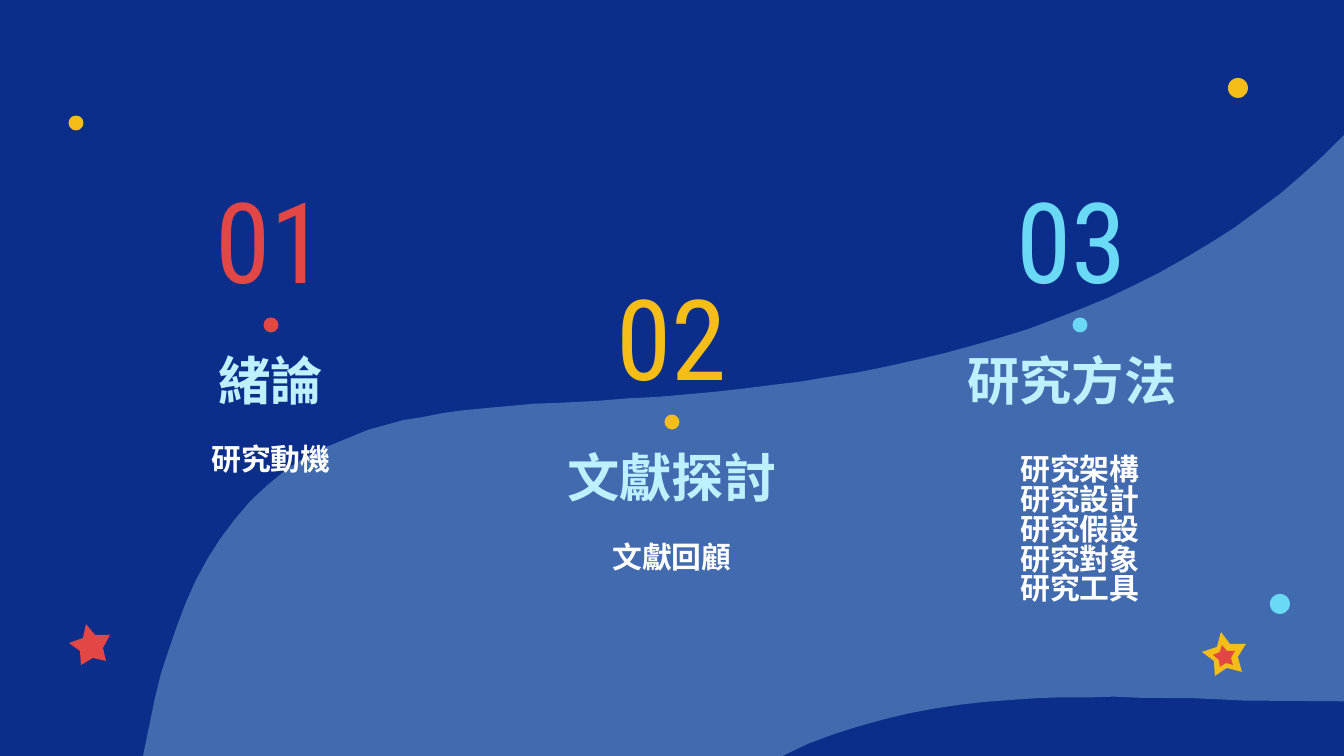
from math import cos, radians, sin

from lxml.etree import SubElement
from pptx import Presentation
from pptx.dml.color import RGBColor
from pptx.enum.shapes import MSO_SHAPE
from pptx.enum.text import MSO_ANCHOR, PP_ALIGN
from pptx.oxml.ns import qn
from pptx.util import Emu, Pt

SCALE = 914400 / 134.4
CJK = "Noto Sans CJK SC"
LATIN = "Roboto Condensed"
NAVY, ICE, WHITE = "0C2E8B", "BDF1FF", "FFFFFF"
RED, GOLD, CYAN = "E24645", "F4BD18", "6AD9F5"

# Each row is one step: a single point for a line, three points for a curve.
WAVE = [
    (1543, -99),
    (1556, -97, 1571, -93, 1583, -87),
    (1656, -55, 1718, -1, 1757, 67),
    (1789, 124, 1809, 190, 1861, 227),
    (1878, 238, 1896, 247, 1907, 263),
    (1918, 280, 1915, 306, 1896, 312),
    (1898, 281),
    (1884, 433, 1788, 574, 1652, 641),
    (1528, 703, 1383, 704, 1245, 700),
    (1106, 696, 965, 688, 833, 734),
    (703, 780, 586, 894, 583, 1032),
    (583, 1079, 597, 1128, 589, 1175),
    (586, 1183, 585, 1191, 579, 1198),
    (569, 1211, 554, 1214, 536, 1211),
    (524, 1210, 512, 1207, 501, 1202),
    (376, 1153, 253, 1101, 132, 1046),
    (121, 1040, 109, 1035, 105, 1024),
    (101, 1016, 102, 1007, 103, 999),
    (132, 820),
    (152, 691, 180, 547, 286, 470),
    (367, 413, 473, 407, 571, 402),
    (726, 394, 880, 378, 1027, 329),
    (1173, 280, 1310, 194, 1399, 67),
    (1426, 30, 1449, -12, 1470, -52),
    (1477, -67, 1485, -81, 1499, -90),
    (1512, -99, 1527, -101, 1543, -99),
]
WAVE_MID = (1021, 554)
WAVE_TURN = 7

# Tips and inner corners of a tilted star on a grid of 33 by 33.
STAR = [(14, 0), (11, 11), (0, 15), (9, 22), (10, 33),
        (19, 27), (30, 30), (27, 19), (33, 9), (21, 9)]

TOPICS = [
    # number, heading, lines, colour, centre, centre of dot and lines, top, top and height of lines
    ("01", "緒論", ["研究動機"], RED, 271, 271, 196, 203, 125),
    ("02", "文獻探討", ["文獻回顧"], GOLD, 672, 672, 293, 204, 125),
    ("03", "研究方法", ["研究架構", "研究設計", "研究假設", "研究對象", "研究工具"],
     CYAN, 1072, 1080, 196, 226, 219),
]


def px(n):
    return Emu(round(n * SCALE))


def color(code):
    return RGBColor.from_string(code)


def paint(shape, code):
    shape.shadow.inherit = False
    shape.fill.solid()
    shape.fill.fore_color.rgb = color(code)
    shape.line.fill.background()
    return shape


def outline(slide, points, code):
    pen = slide.shapes.build_freeform(*points[0], scale=SCALE)
    pen.add_line_segments(points[1:], close=True)
    return paint(pen.convert_to_shape(), code)


def flatten(steps, count=16):
    """Turn steps of lines and cubic curves into a list of points."""
    points = [steps[0]]
    for step in steps[1:]:
        if len(step) == 2:
            points.append(step)
            continue
        knots = [points[-1], step[:2], step[2:4], step[4:]]
        for i in range(1, count + 1):
            t = i / count
            u = 1 - t
            parts = (u ** 3, 3 * u * u * t, 3 * u * t * t, t ** 3)
            points.append(tuple(sum(w * k[axis] for w, k in zip(parts, knots))
                                for axis in (0, 1)))
    return points


def turn(point, center, angle):
    a = radians(angle)
    x, y = point[0] - center[0], point[1] - center[1]
    return (center[0] + x * cos(a) - y * sin(a), center[1] + x * sin(a) + y * cos(a))


def wave(slide):
    points = [turn(p, WAVE_MID, -WAVE_TURN) for p in flatten(WAVE)]
    shape = outline(slide, points, ICE)
    shape.rotation = WAVE_TURN
    tint = shape.fill._xPr.find(qn("a:solidFill"))[0]
    SubElement(tint, qn("a:alpha"), val="31000")


def dot(slide, x, y, size, code):
    """Draw a disc centred on x, y."""
    paint(slide.shapes.add_shape(MSO_SHAPE.OVAL, px(x - size / 2), px(y - size / 2),
                                 px(size), px(size)), code)


def star(slide, x, y, size, code):
    unit = size / 33
    outline(slide, [(x + a * unit, y + b * unit) for a, b in STAR], code)


def text(slide, lines, x, y, w, h, *, size, code, font=CJK, bold=True,
         anchor=MSO_ANCHOR.MIDDLE, space=None):
    """Place centred lines in a box whose top middle is x, y."""
    frame = slide.shapes.add_textbox(px(x - w / 2), px(y), px(w), px(h)).text_frame
    frame.word_wrap = True
    frame.vertical_anchor = anchor
    frame.margin_left = frame.margin_right = px(13)
    frame.margin_top = frame.margin_bottom = px(13)
    for i, line in enumerate(lines):
        para = frame.paragraphs[0] if i == 0 else frame.add_paragraph()
        para.alignment = PP_ALIGN.CENTER
        para.line_spacing = space
        run = para.add_run()
        run.text = line
        run.font.size = Pt(size)
        run.font.bold = bold
        run.font.color.rgb = color(code)
        run.font.name = font
        SubElement(run.font._element, qn("a:ea"), typeface=font)


def topic(slide, number, title, lines, code, x, mid, top, drop, height):
    text(slide, [title], x, top + 143, 331, 85, size=28, code=ICE, anchor=MSO_ANCHOR.BOTTOM)
    text(slide, lines, mid, top + drop, 290, height, size=16, code=WHITE, space=0.83)
    text(slide, [number], x, top, 258, 85, size=60, code=code, font=LATIN, bold=False)
    dot(slide, mid, top + 129, 15, code)


def decor(slide):
    wave(slide)
    dot(slide, 1280, 604, 20, CYAN)
    dot(slide, 1238, 88, 20, GOLD)
    dot(slide, 76, 123, 15, GOLD)
    star(slide, 1202, 632, 44, GOLD)
    star(slide, 1213, 645, 22, RED)
    star(slide, 69, 624, 41, RED)


def main():
    deck = Presentation()
    deck.slide_width, deck.slide_height = px(1344), px(756)
    slide = deck.slides.add_slide(deck.slide_layouts[6])
    slide.background.fill.solid()
    slide.background.fill.fore_color.rgb = color(NAVY)
    decor(slide)
    for item in TOPICS:
        topic(slide, *item)
    deck.save("out.pptx")


if __name__ == "__main__":
    main()
